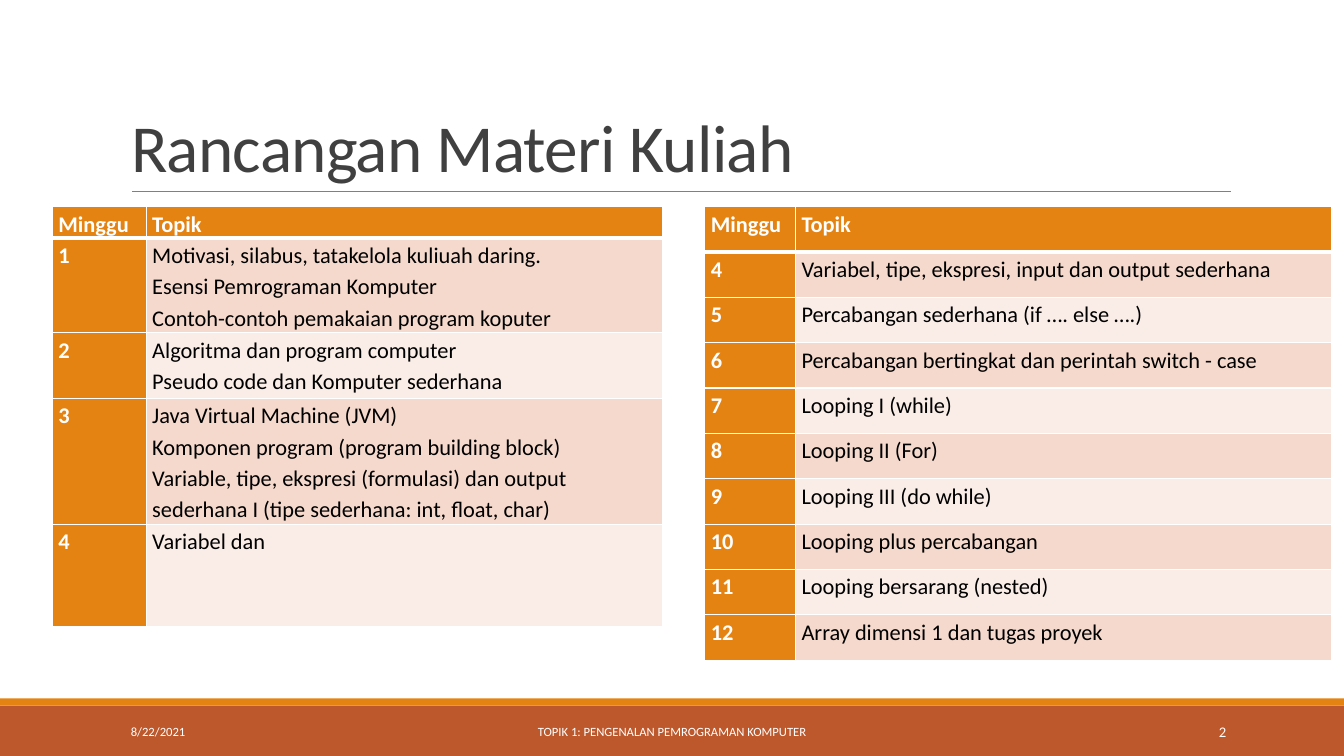
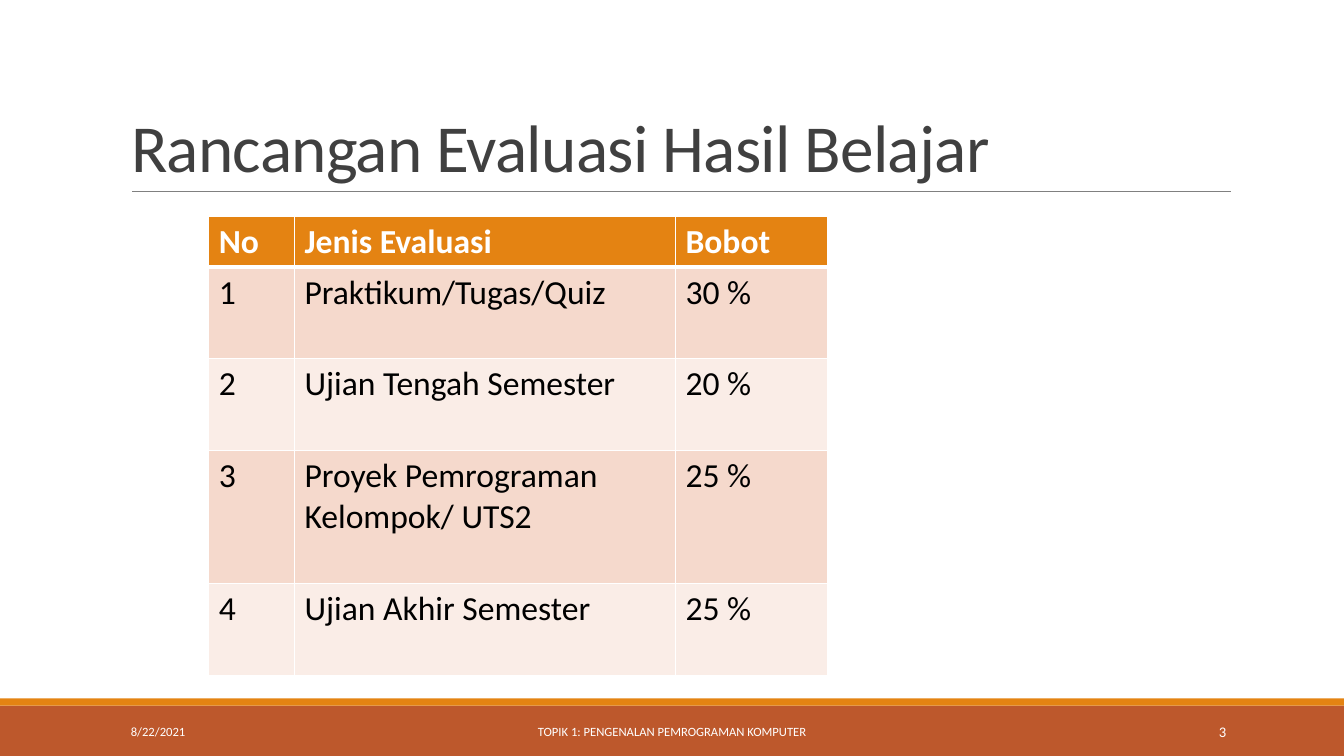
from dataclasses import dataclass

from lxml import etree
from pptx import Presentation
from pptx.dml.color import RGBColor
from pptx.enum import shapes, text
from pptx.oxml import ns
from pptx.util import Inches, Pt


@dataclass(frozen=True)
class Theme:
    font: str = "Calibri"
    ink: str = "000000"
    white: str = "FFFFFF"
    title: str = "404040"
    rule: str = "808080"
    band: str = "BD582C"
    accent: str = "E48312"
    rows: tuple = ("F5D9CC", "FAEDE7")
    head_size: float = 48
    foot_size: float = 9
    num_size: float = 10.5
    plan_size: float = 16
    mark_size: float = 24


T = Theme()
DATE = "8/22/2021"
FOOTER = "TOPIK 1: PENGENALAN PEMROGRAMAN KOMPUTER"

WEEKS = [
    ["Minggu", "Topik"],
    ["1", "Motivasi, silabus, tatakelola kuliuah daring.\n"
          "Esensi Pemrograman Komputer\n"
          "Contoh-contoh pemakaian program koputer"],
    ["2", "Algoritma dan program computer\nPseudo code dan Komputer sederhana"],
    ["3", "Java Virtual Machine (JVM)\n"
          "Komponen program (program building block)\n"
          "Variable, tipe, ekspresi (formulasi) dan output sederhana I "
          "(tipe sederhana: int, float, char)"],
    ["4", "Variabel dan"],
]
LATER = [
    ["Minggu", "Topik"],
    ["4", "Variabel, tipe, ekspresi, input dan output sederhana"],
    ["5", "Percabangan sederhana (if …. else ….)"],
    ["6", "Percabangan bertingkat dan perintah switch - case"],
    ["7", "Looping I (while)"],
    ["8", "Looping II (For)"],
    ["9", "Looping III (do while)"],
    ["10", "Looping plus percabangan"],
    ["11", "Looping bersarang (nested)"],
    ["12", "Array dimensi 1 dan tugas proyek"],
]
MARKS = [
    ["No", "Jenis Evaluasi", "Bobot"],
    ["1", "Praktikum/Tugas/Quiz", "30 %"],
    ["2", "Ujian Tengah Semester", "20 %"],
    ["3", "Proyek Pemrograman Kelompok/ UTS2", "25 %"],
    ["4", "Ujian Akhir Semester", "25 %"],
]


def color(code):
    return RGBColor.from_string(code)


def style(par, size, code, bold=False):
    par.font.name = T.font
    par.font.size = Pt(size)
    par.font.color.rgb = color(code)
    par.font.bold = bold


def add_band(slide, top, height, code):
    band = slide.shapes.add_shape(
        shapes.MSO_SHAPE.RECTANGLE, 0, Inches(top), Inches(13.33), Inches(height))
    band.shadow.inherit = False
    band.fill.solid()
    band.fill.fore_color.rgb = color(code)
    band.line.fill.background()


def add_rule(slide):
    rule = slide.shapes.add_connector(
        shapes.MSO_CONNECTOR.STRAIGHT,
        Inches(1.31), Inches(1.9), Inches(12.21), Inches(1.9))
    rule.line.color.rgb = color(T.rule)
    rule.line.width = Pt(0.5)
    etree.SubElement(rule._element.spPr, ns.qn("a:effectLst"))


def add_note(slide, words, left, width, size, align):
    box = slide.shapes.add_textbox(
        Inches(left), Inches(7.06), Inches(width), Inches(0.4))
    frame = box.text_frame
    frame.word_wrap = True
    frame.vertical_anchor = text.MSO_ANCHOR.MIDDLE
    par = frame.paragraphs[0]
    par.text = words
    par.alignment = align
    style(par, size, T.white)


def set_title(slide, words):
    title = slide.shapes.title
    title.left, title.top = Inches(1.2), Inches(0.31)
    title.width, title.height = Inches(11), Inches(1.59)
    frame = title.text_frame
    frame.auto_size = text.MSO_AUTO_SIZE.NONE
    frame.vertical_anchor = text.MSO_ANCHOR.BOTTOM
    par = frame.paragraphs[0]
    par.text = words
    par.alignment = text.PP_ALIGN.LEFT
    par.line_spacing = 0.85
    style(par, T.head_size, T.title)
    par.runs[0]._r.get_or_add_rPr().set("spc", "-50")


def add_page(deck, words, number):
    slide = deck.slides.add_slide(deck.slide_layouts[5])
    add_band(slide, 7, 0.5, T.band)
    add_band(slide, 6.93, 0.07, T.accent)
    add_rule(slide)
    set_title(slide, words)
    align = text.PP_ALIGN
    add_note(slide, DATE, 1.2, 2.7, T.foot_size, align.LEFT)
    add_note(slide, FOOTER, 4.03, 5.27, T.foot_size, align.CENTER)
    add_note(slide, str(number), 10.83, 1.43, T.num_size, align.RIGHT)
    return slide


def set_edges(cell, row):
    props = cell._tc.get_or_add_tcPr()
    heavy = {(0, "B"), (1, "T")}
    for side in "LRTB":
        width = Pt(3 if (row, side) in heavy else 1)
        edge = etree.SubElement(props, ns.qn(f"a:ln{side}"), w=str(width))
        fill = etree.SubElement(edge, ns.qn("a:solidFill"))
        etree.SubElement(fill, ns.qn("a:srgbClr"), val=T.white)


def fill_cell(cell, words, row, strong, size, space, inset):
    set_edges(cell, row)
    cell.fill.solid()
    cell.fill.fore_color.rgb = color(T.accent if strong else T.rows[(row - 1) % 2])
    cell.margin_left = cell.margin_right = Inches(inset[0])
    cell.margin_top = cell.margin_bottom = Inches(inset[1])
    cell.text = words
    for par in cell.text_frame.paragraphs:
        par.line_spacing = space
        style(par, size, T.white if strong else T.ink, strong)


def add_grid(slide, data, spot, cols, rows, size, space=1.0,
             inset=(0.1, 0.05), lead=False):
    left, top = spot
    grid = slide.shapes.add_table(
        len(rows), len(cols), Inches(left), Inches(top),
        Inches(sum(cols)), Inches(sum(rows))).table
    for col, width in zip(grid.columns, cols):
        col.width = Inches(width)
    for row, height in zip(grid.rows, rows):
        row.height = Inches(height)
    for r, line in enumerate(data):
        for c, words in enumerate(line):
            strong = r == 0 or (lead and c == 0)
            fill_cell(grid.cell(r, c), words, r, strong, size, space, inset)


def main():
    deck = Presentation()
    deck.slide_width, deck.slide_height = Inches(13.33), Inches(7.5)

    plan = add_page(deck, "Rancangan Materi Kuliah", 2)
    look = dict(size=T.plan_size, space=1.15, inset=(0.06, 0), lead=True)
    add_grid(plan, WEEKS, (0.52, 2.05), [0.93, 5.12],
             [0.31, 0.94, 0.65, 1.25, 1.02], **look)
    add_grid(plan, LATER, (6.99, 2.05), [0.9, 5.32],
             [0.45] * len(LATER), **look)

    marks = add_page(deck, "Rancangan Evaluasi Hasil Belajar", 3)
    add_grid(marks, MARKS, (2.07, 2.15), [0.85, 3.78, 1.51],
             [0.5, 0.91, 0.91, 1.32, 0.91], T.mark_size)

    deck.save("out.pptx")


if __name__ == "__main__":
    main()
